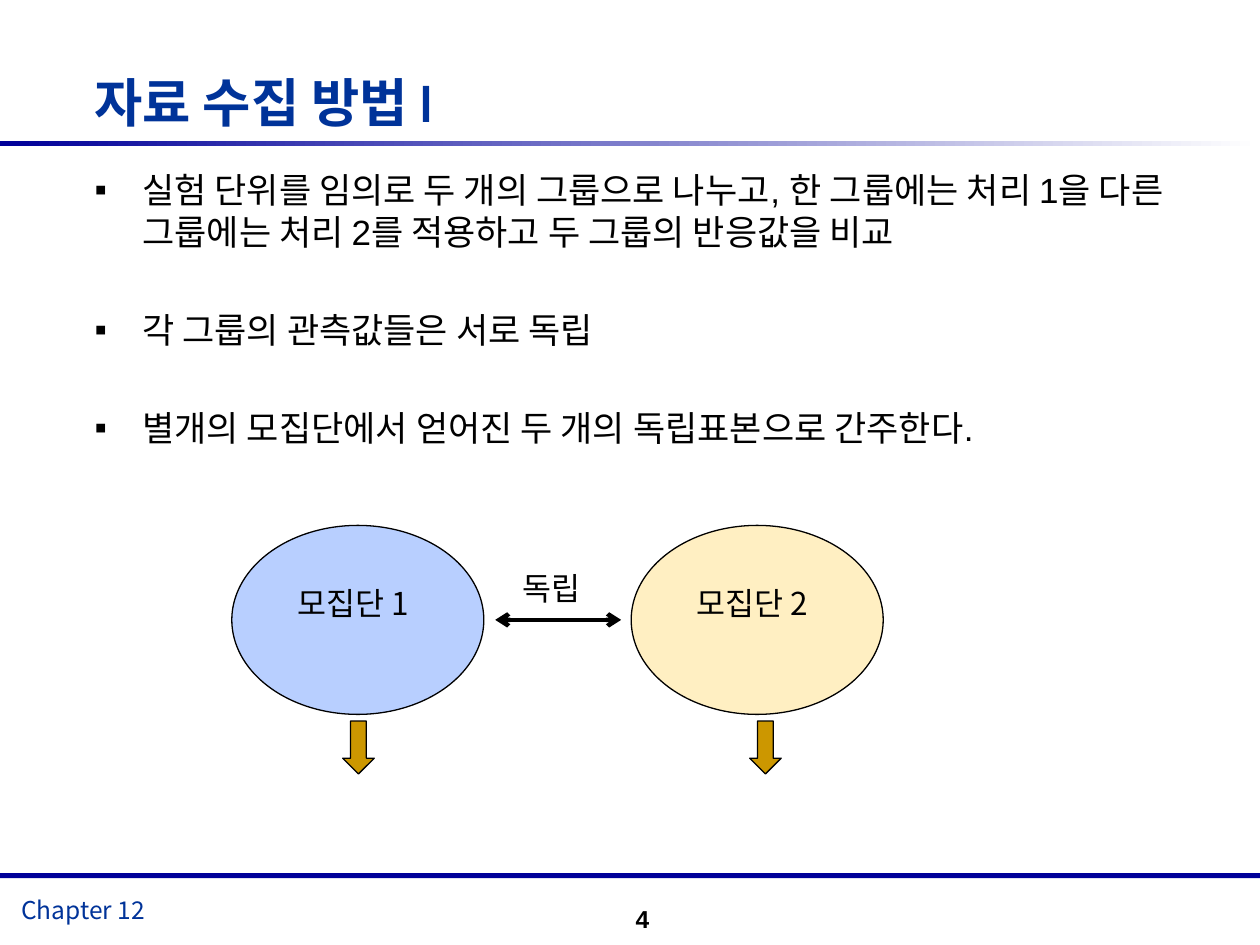
from lxml import etree
from pptx import Presentation, util as u
from pptx.dml.color import RGBColor
from pptx.enum import shapes, text
from pptx.oxml.ns import qn

WIDTH, HEIGHT = u.Inches(10), u.Inches(7.5)
NAVY, BLUE, BLACK, GOLD = "000099", "003399", "000000", "CC9700"
KOREAN = "Noto Sans CJK KR"
POINTS = [
    "실험 단위를 임의로 두 개의 그룹으로 나누고, 한 그룹에는 처리 1을 "
    "다른 그룹에는 처리 2를 적용하고 두 그룹의 반응값을 비교",
    "각 그룹의 관측값들은 서로 독립",
    "별개의 모집단에서 얻어진 두 개의 독립표본으로 간주한다.",
]


def rgb(color):
    return RGBColor.from_string(color)


def place(x, y, *size):
    """Turn percentages of the slide's width and height into lengths."""
    sides = (WIDTH, HEIGHT, WIDTH, HEIGHT)
    return [int(side * share / 100) for side, share in zip(sides, (x, y, *size))]


def add_text(s, box, lines, size, color=BLACK, font=KOREAN, bold=False,
             inset=True, wrap=False):
    tf = s.shapes.add_textbox(*place(*box)).text_frame
    tf.word_wrap = wrap
    if not inset:
        tf.margin_left = tf.margin_top = tf.margin_right = tf.margin_bottom = 0
    tf.text = "\n".join(lines)
    for p in tf.paragraphs:
        f = p.runs[0].font
        f.size, f.bold, f.name = u.Pt(size), bold, font
        f.color.rgb = rgb(color)
        east = etree.SubElement(f._element, qn("a:ea"))
        east.set("typeface", KOREAN)
    return tf


def add_shape(s, kind, box, fill, outlined=True):
    sp = s.shapes.add_shape(kind, *place(*box))
    sp.shadow.inherit = False
    sp.fill.solid()
    sp.fill.fore_color.rgb = rgb(fill)
    if outlined:
        sp.line.color.rgb = rgb(BLACK)
        sp.line.width = u.Pt(0.75)
    else:
        sp.line.fill.background()
    return sp


def add_rule(s, y, fade=False):
    sp = add_shape(s, shapes.MSO_SHAPE.RECTANGLE, (0, y, 100, 0.53), NAVY, False)
    if fade:
        sp.fill.gradient()
        sp.fill.gradient_angle = 0
        for stop, color, at in zip(sp.fill.gradient_stops, (NAVY, "FFFFFF"), (0, 1)):
            stop.color.rgb = rgb(color)
            stop.position = at


def add_double_arrow(s, start, end):
    line = s.shapes.add_connector(shapes.MSO_CONNECTOR.STRAIGHT,
                                  *place(*start), *place(*end))
    line.line.color.rgb = rgb(BLACK)
    line.line.width = u.Pt(2.5)
    for end_tag in ("a:headEnd", "a:tailEnd"):
        etree.SubElement(line.line._get_or_add_ln(), qn(end_tag)).set("type", "arrow")
    etree.SubElement(line._element.spPr, qn("a:effectLst"))


def add_bullets(s, box, lines):
    tf = add_text(s, box, lines, 20, font="Arial", inset=False, wrap=True)
    for i, p in enumerate(tf.paragraphs):
        p.line_spacing = u.Pt(24)
        p.space_before = u.Pt(32 if i else 3)
        pPr = p._p.get_or_add_pPr()
        pPr.set("marL", str(u.Inches(0.38)))
        pPr.set("indent", str(u.Inches(-0.38)))
        color = etree.SubElement(pPr, qn("a:buClr"))
        etree.SubElement(color, qn("a:srgbClr")).set("val", BLACK)
        etree.SubElement(pPr, qn("a:buFont")).set("typeface", "Arial")
        etree.SubElement(pPr, qn("a:buChar")).set("char", "▪")


def add_population(s, x, arrow_x, name, fill):
    add_shape(s, shapes.MSO_SHAPE.OVAL, (x, 55.6, 20, 20), fill)
    add_text(s, (x + 4.2, 61.1, 11.7, 5.33), [name], 18)
    add_shape(s, shapes.MSO_SHAPE.DOWN_ARROW, (arrow_x, 76.3, 2.5, 5.6), GOLD)


def main():
    prs = Presentation()
    prs.slide_width, prs.slide_height = WIDTH, HEIGHT
    s = prs.slides.add_slide(prs.slide_layouts[6])

    add_rule(s, 14.95, fade=True)
    add_rule(s, 92.4)
    add_text(s, (0.7, 94.1, 33.3, 4.4), ["Chapter 12"], 14, BLUE)
    title = add_text(s, (7.5, 6.9, 92.5, 10), ["자료 수집 방법 I"], 30, BLUE,
                     "Arial Narrow", bold=True, inset=False, wrap=True)
    title.paragraphs[0].line_spacing = u.Pt(39)
    add_bullets(s, (7.5, 17.8, 85.8, 71.1), POINTS)
    number = add_text(s, (46.7, 94.4, 5.8, 5.6), ["4"], 14, font="Arial", bold=True,
                      wrap=True)
    number.vertical_anchor = text.MSO_ANCHOR.MIDDLE
    number.paragraphs[0].alignment = text.PP_ALIGN.RIGHT

    add_population(s, 18.4, 27.2, "모집단 1", "B8CFFF")
    add_population(s, 50.1, 59.5, "모집단 2", "FFEFC2")
    add_double_arrow(s, (39.3, 65.6), (49.3, 65.6))
    add_text(s, (40.5, 59.6, 7.5, 5.33), ["독립"], 18)
    prs.save("out.pptx")


if __name__ == "__main__":
    main()
